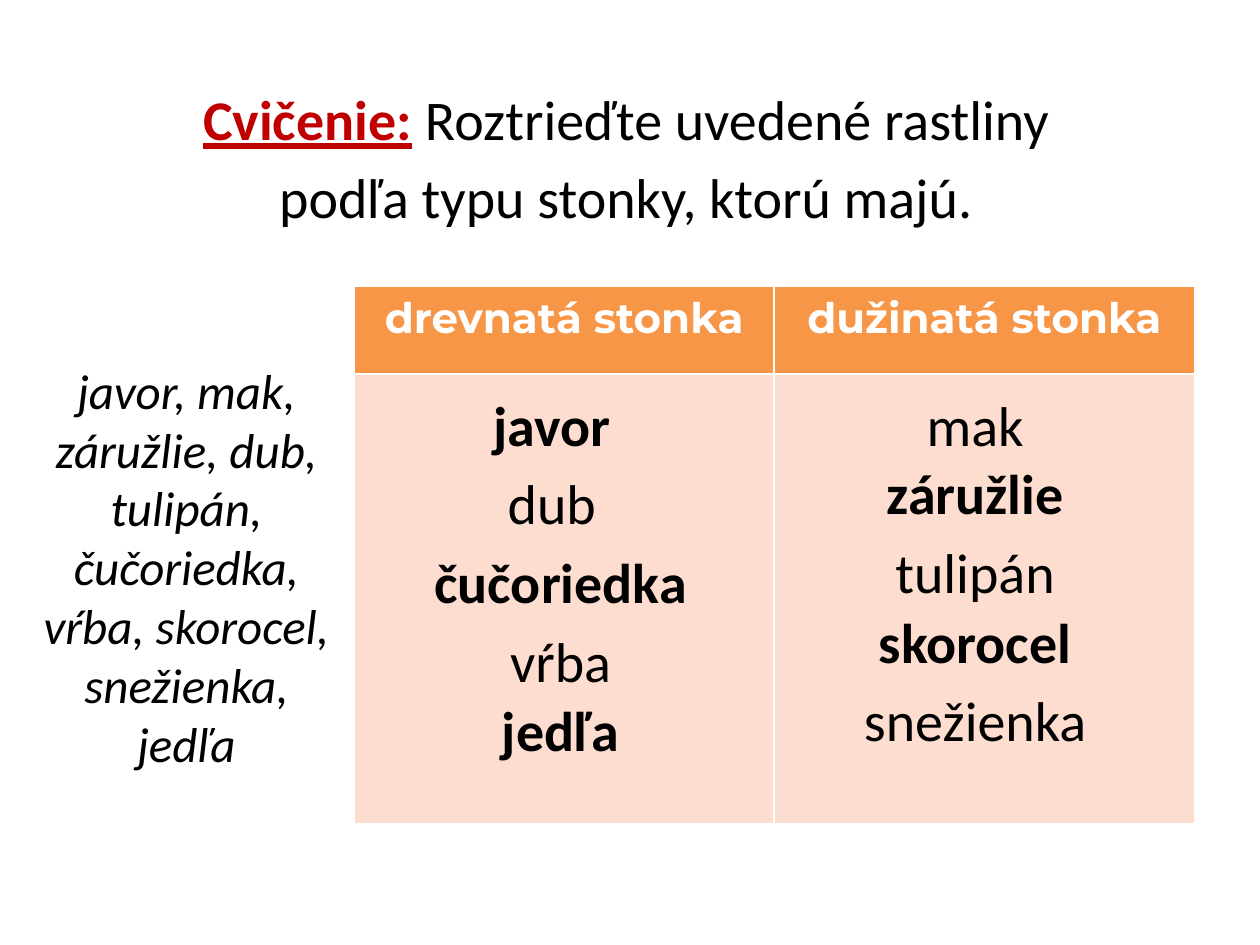
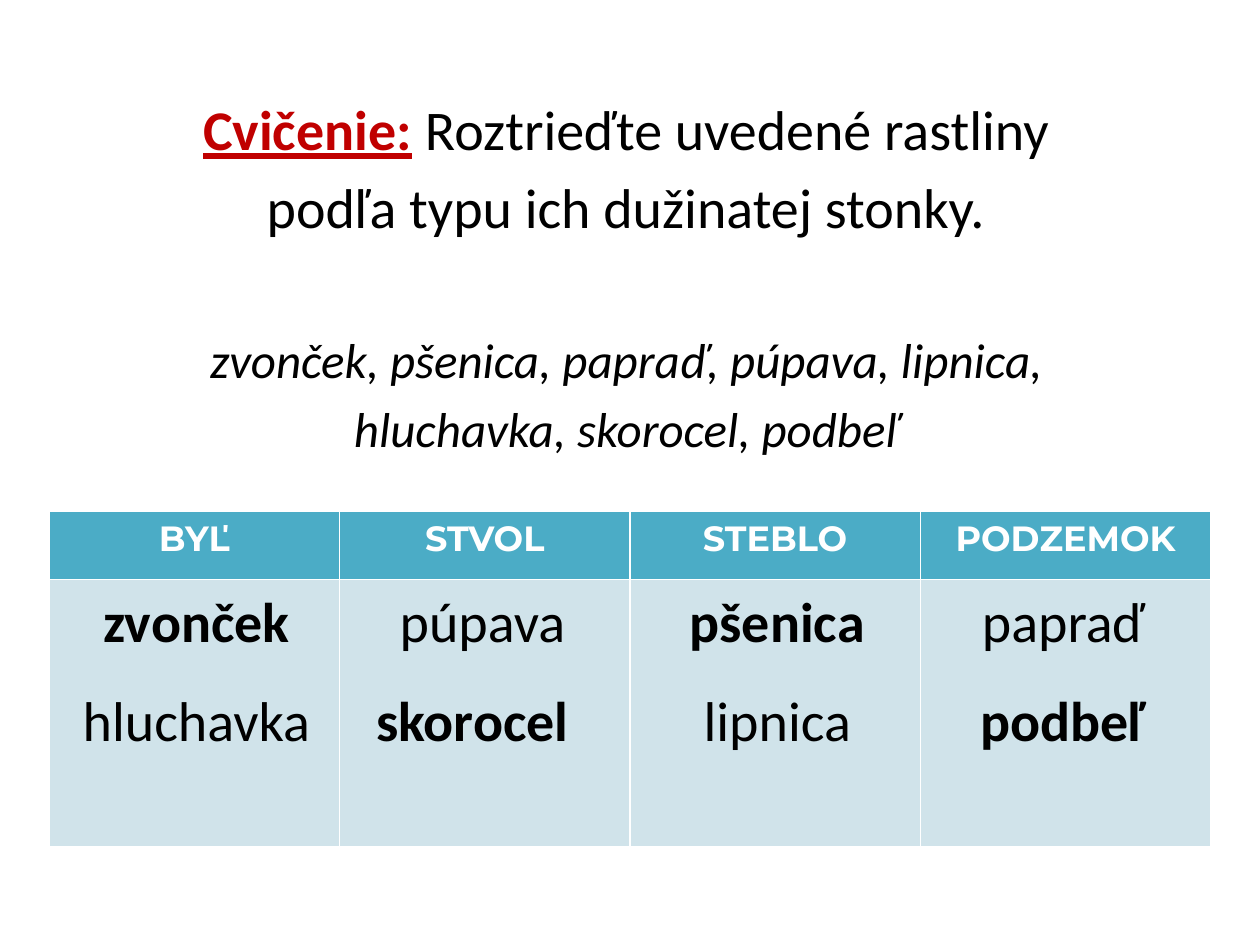
import pptx
import pptx.dml.color
import pptx.enum.text
import pptx.util

Inches, Pt = pptx.util.Inches, pptx.util.Pt
RGBColor = pptx.dml.color.RGBColor

RED = RGBColor(0xC0, 0x00, 0x00)
BLACK = RGBColor(0x00, 0x00, 0x00)
WHITE = RGBColor(0xFF, 0xFF, 0xFF)
ORANGE = RGBColor(0xF7, 0x96, 0x46)
PEACH = RGBColor(0xFC, 0xDD, 0xCF)
TEAL = RGBColor(0x4B, 0xAC, 0xC6)
PALE_BLUE = RGBColor(0xD0, 0xE3, 0xEA)

BODY_FONT, HEADER_FONT = "Calibri", "Montserrat"
TEXT_SIZE, LIST_SIZE = 32, 28
ANSWER_WIDTH, ANSWER_HEIGHT = 2.66, 0.64
TITLE_ONLY = 5


def style_paragraph(paragraph, size, color=BLACK, font=BODY_FONT, bold=False, italic=False):
    paragraph.alignment = pptx.enum.text.PP_ALIGN.CENTER
    for run in paragraph.runs:
        run.font.name = font
        run.font.size = Pt(size)
        run.font.color.rgb = color
        run.font.bold = bold
        run.font.italic = italic


def place(shape, box):
    shape.left, shape.top, shape.width, shape.height = map(Inches, box)


def add_exercise_title(slide, box, task, plants=()):
    """Fill the title with the task and, below it, any lines of plants to sort."""
    title = slide.shapes.title
    place(title, box)
    frame = title.text_frame
    frame.word_wrap = True
    frame.auto_size = pptx.enum.text.MSO_AUTO_SIZE.NONE
    frame.vertical_anchor = pptx.enum.text.MSO_ANCHOR.TOP
    frame.text = "\n".join(["Cvičenie:", task, *plants])

    first, second, *plant_lines = frame.paragraphs
    first.add_run().text = " Roztrieďte uvedené rastliny"
    for paragraph in (first, second):
        style_paragraph(paragraph, TEXT_SIZE)
    second.space_before = Pt(6.4)
    keyword = first.runs[0].font
    keyword.color.rgb = RED
    keyword.bold = keyword.underline = True

    for index, paragraph in enumerate(plant_lines):
        style_paragraph(paragraph, LIST_SIZE, italic=True)
        paragraph.space_before = Pt(5.6 if index else 51)


def add_text(slide, box, text, size, **style):
    textbox = slide.shapes.add_textbox(*map(Inches, box))
    frame = textbox.text_frame
    frame.word_wrap = True
    frame.auto_size = pptx.enum.text.MSO_AUTO_SIZE.SHAPE_TO_FIT_TEXT
    frame.text = text
    for paragraph in frame.paragraphs:
        style_paragraph(paragraph, size, **style)


def add_sorting_table(slide, box, headers, header_height, header_size, header_fill, body_fill):
    table = slide.shapes.add_table(2, len(headers), *map(Inches, box)).table
    table.rows[0].height = Inches(header_height)
    table.rows[1].height = Inches(box[3] - header_height)
    for column, header in enumerate(headers):
        table.columns[column].width = Inches(box[2] / len(headers))
        header_cell, body_cell = table.cell(0, column), table.cell(1, column)
        for cell, color in ((header_cell, header_fill), (body_cell, body_fill)):
            cell.fill.solid()
            cell.fill.fore_color.rgb = color
        header_cell.text_frame.text = header
        style_paragraph(header_cell.text_frame.paragraphs[0], header_size,
                        color=WHITE, font=HEADER_FONT, bold=True)


def add_answers(slide, origin, columns):
    """Place columns of (word, x, y) from the table's corner, bold in a chequered pattern."""
    left, top = origin
    for column, answers in enumerate(columns):
        for row, (word, x, y) in enumerate(answers):
            add_text(slide, (left + x, top + y, ANSWER_WIDTH, ANSWER_HEIGHT), word,
                     TEXT_SIZE, bold=(row + column) % 2 == 0)


def build_stem_type_slide(slide):
    add_exercise_title(slide, (0.47, 0.62, 9, 1.48), "podľa typu stonky, ktorú majú.")
    table_box = (2.81, 2.27, 6.67, 4.27)
    add_sorting_table(slide, table_box, ("drevnatá stonka", "dužinatá stonka"),
                      0.7, 24, ORANGE, PEACH)
    plants = ("javor, mak,", "záružlie, dub,", "tulipán, čučoriedka,",
              "vŕba, skorocel,", "snežienka, jedľa")
    add_text(slide, (0.23, 2.81, 2.5, 3.4), "\n".join(plants), LIST_SIZE, italic=True)
    add_answers(slide, table_box[:2], (
        (("javor", 0.24, 0.78), ("dub", 0.24, 1.4), ("čučoriedka", 0.31, 2.03),
         ("vŕba", 0.31, 2.65), ("jedľa", 0.31, 3.2)),
        (("mak", 3.6, 0.78), ("záružlie", 3.6, 1.32), ("tulipán", 3.6, 1.95),
         ("skorocel", 3.6, 2.5), ("snežienka", 3.6, 3.12)),
    ))


def build_herbaceous_stem_slide(slide):
    table_box = (0.39, 4.06, 9.22, 2.66)
    add_sorting_table(slide, table_box, ("BYĽ", "STVOL", "STEBLO", "PODZEMOK"),
                      0.54, 20, TEAL, PALE_BLUE)
    add_exercise_title(slide, (0.47, 0.7, 9, 3.05), "podľa typu ich dužinatej stonky.",
                       ("zvonček, pšenica, papraď, púpava, lipnica,",
                        "hluchavka, skorocel, podbeľ"))
    upper, lower = 0.55, 1.33
    add_answers(slide, table_box[:2], (
        (("zvonček", -0.16, upper), ("hluchavka", -0.16, lower)),
        (("púpava", 2.11, upper), ("skorocel", 2.03, lower)),
        (("pšenica", 4.45, upper), ("lipnica", 4.45, lower)),
        (("papraď", 6.72, upper), ("podbeľ", 6.72, lower)),
    ))


def main():
    presentation = pptx.Presentation()
    presentation.slide_width, presentation.slide_height = Inches(10), Inches(7.5)
    for build in (build_stem_type_slide, build_herbaceous_stem_slide):
        build(presentation.slides.add_slide(presentation.slide_layouts[TITLE_ONLY]))
    presentation.save("out.pptx")


if __name__ == "__main__":
    main()
